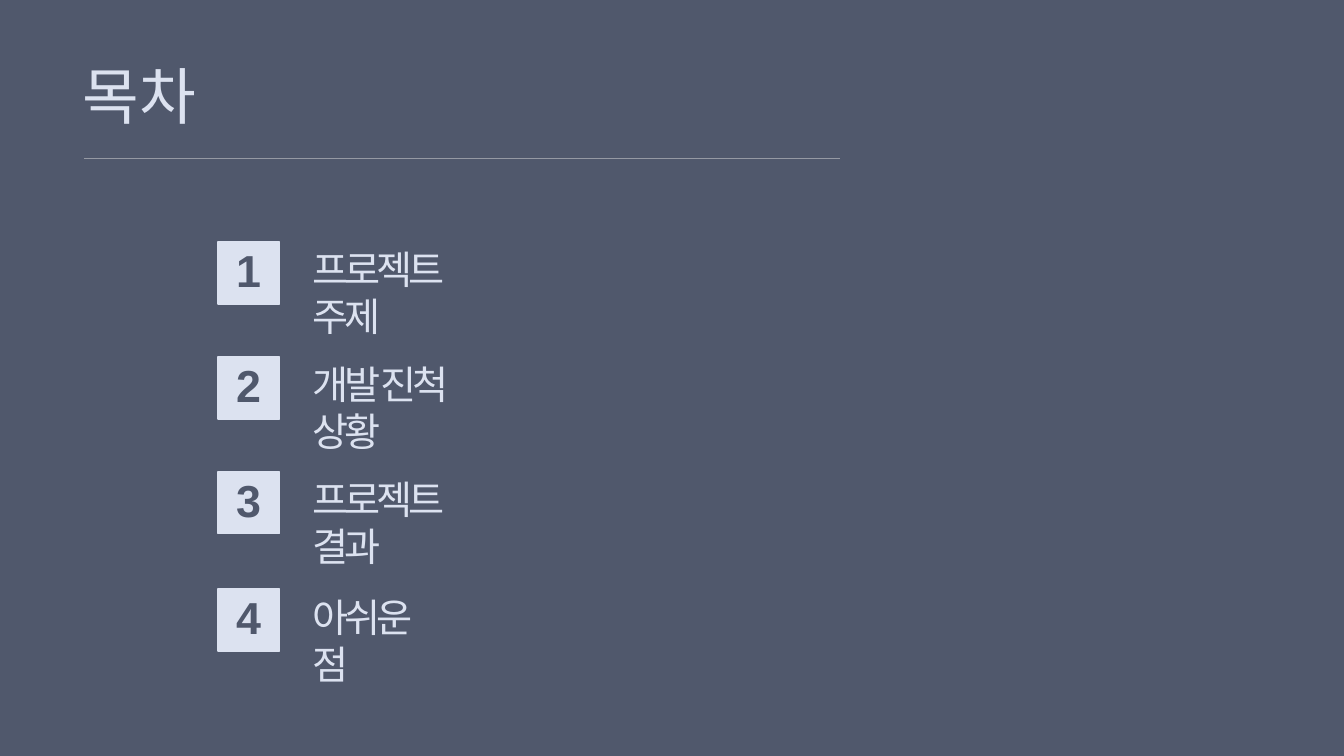
from lxml.etree import SubElement
from pptx import Presentation
from pptx.dml.color import RGBColor
from pptx.enum.shapes import MSO_CONNECTOR as Connector, MSO_SHAPE as Shape
from pptx.enum.text import MSO_AUTO_SIZE as AutoSize, PP_ALIGN as Align
from pptx.oxml.ns import qn
from pptx.util import Pt

SLATE = RGBColor(0x50, 0x58, 0x6C)
MIST = RGBColor(0xDC, 0xE2, 0xF0)
RULE_GREY = RGBColor(0x95, 0x99, 0xA3)

KOREAN = "Noto Sans CJK KR"
HEADING_FONT = {"size": Pt(66), "name": KOREAN, "bold": False}
NUMBER_FONT = {"size": Pt(48), "name": "Arial", "bold": True}
TOPIC_FONT = {"size": Pt(42), "name": KOREAN, "bold": False}

WIDTH, HEIGHT = 1440, 810
BADGE_SIZE = 66.2
TOPICS = [
    ("프로젝트 주제", 259.2, 225.4),
    ("개발 진척 상황", 382.3, 231.1),
    ("프로젝트 결과", 505.4, 225.4),
    ("아쉬운 점", 631.4, 157),
]


def add_block(shapes, box, fill, line=None):
    """Draw a flat rectangle, with an outline if a line colour is given."""
    block = shapes.add_shape(Shape.RECTANGLE, *map(Pt, box))
    block.shadow.inherit = False
    block.fill.solid()
    block.fill.fore_color.rgb = fill
    if line is None:
        block.line.fill.background()
    else:
        block.line.color.rgb = line
        block.line.width = Pt(2)


def add_label(shapes, box, text, font_format, color, align=Align.LEFT, spacing=0, wrap=False):
    """Write a text in a box that grows with it."""
    label = shapes.add_textbox(*map(Pt, box))
    frame = label.text_frame
    frame.word_wrap = wrap
    frame.auto_size = AutoSize.SHAPE_TO_FIT_TEXT
    paragraph = frame.paragraphs[0]
    paragraph.alignment = align
    run = paragraph.add_run()
    run.text = text
    for attribute, value in font_format.items():
        setattr(run.font, attribute, value)
    run.font.color.rgb = color
    properties = run._r.get_or_add_rPr()
    SubElement(properties, qn("a:ea")).set("typeface", font_format["name"])
    if spacing:
        properties.set("spc", str(int(spacing * 100)))


def add_heading(slide, left, top, width):
    """Place the title and the thin rule below it."""
    add_label(slide.shapes, (left - 8.6, top, 160, 87.1), "목차",
              HEADING_FONT, MIST, wrap=True)
    rule_y = Pt(top + 110.2)
    rule = slide.shapes.add_connector(
        Connector.STRAIGHT, Pt(left), rule_y, Pt(left + width), rule_y)
    rule.line.color.rgb = RULE_GREY
    rule.line.width = Pt(0.75)
    SubElement(rule._element.spPr, qn("a:effectLst"))


def add_topic(slide, left, top, number, topic, topic_width):
    """Place one numbered badge with its topic as a group."""
    shapes = slide.shapes.add_group_shape().shapes
    add_block(shapes, (left, top, BADGE_SIZE, BADGE_SIZE), MIST, MIST)
    add_label(shapes, (left + 12.2, top - 3, 41.8, 65.5), str(number),
              NUMBER_FONT, SLATE, Align.CENTER)
    add_label(shapes, (left + 94.5, top + 0.5, topic_width, 58.3), topic,
              TOPIC_FONT, MIST, spacing=-4.5)


def build_contents(presentation):
    """Build the contents slide."""
    slide = presentation.slides.add_slide(presentation.slide_layouts[6])
    add_block(slide.shapes, (0, 0, WIDTH, HEIGHT), SLATE)
    add_heading(slide, 90, 59, 810)
    for number, (topic, top, topic_width) in enumerate(TOPICS, 1):
        add_topic(slide, 233.3, top, number, topic, topic_width)


def main():
    """Create the presentation and save it."""
    presentation = Presentation()
    presentation.slide_width = Pt(WIDTH)
    presentation.slide_height = Pt(HEIGHT)
    build_contents(presentation)
    presentation.save("out.pptx")


if __name__ == "__main__":
    main()
